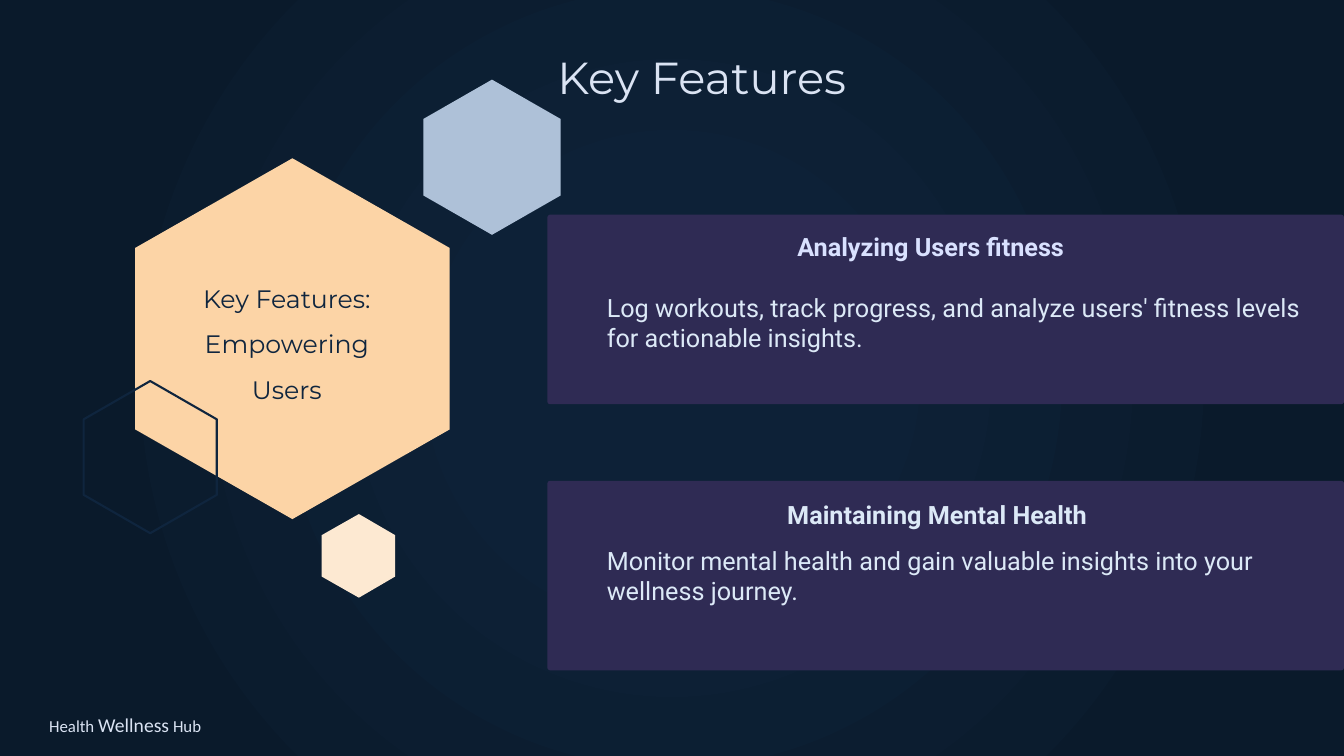
"""Build the Key Features slide with a hexagon cluster and two feature cards."""
from lxml.etree import SubElement
from pptx import Presentation
from pptx.dml.color import RGBColor
from pptx.enum.shapes import MSO_SHAPE
from pptx.enum.text import MSO_ANCHOR, PP_ALIGN
from pptx.oxml.ns import qn
from pptx.util import Pt

PX = 9144
NAVY = RGBColor(0x0F, 0x25, 0x3E)
STEEL = RGBColor(0xAE, 0xC1, 0xD8)
PEACH = RGBColor(0xFC, 0xD4, 0xA6)
CREAM = RGBColor(0xFD, 0xE9, 0xD2)
PURPLE = RGBColor(0x2F, 0x2B, 0x54)
PALE = RGBColor(0xDA, 0xE3, 0xF3)
LAVENDER = RGBColor(0xD9, 0xE1, 0xFF)
ICE = RGBColor(0xDC, 0xE9, 0xF7)
BACKDROP = [
    (0, RGBColor(0x0D, 0x21, 0x37)),
    (23, RGBColor(0x0D, 0x21, 0x37)),
    (69, RGBColor(0x0B, 0x1C, 0x2E)),
    (97, RGBColor(0x0A, 0x1A, 0x2B)),
]

deck = Presentation()
deck.slide_width, deck.slide_height = 1333 * PX, 750 * PX
page = deck.slides.add_slide(deck.slide_layouts[6])


def add_text(place, spans, font, paragraph=None, anchor=MSO_ANCHOR.TOP):
    box = page.shapes.add_textbox(*(length * PX for length in place))
    box.text_frame.word_wrap = True
    box.text_frame.vertical_anchor = anchor
    para = box.text_frame.paragraphs[0]
    for name, value in (paragraph or {}).items():
        setattr(para, name, value)
    for text, size, color in spans:
        span = para.add_run()
        span.text = text
        span.font.color.rgb = color
        for name, value in {"size": Pt(size), **font}.items():
            setattr(span.font, name, value)


page.background.fill.gradient()
gradient = next(page.element.iter(qn("a:gradFill")))
for child in list(gradient):
    gradient.remove(child)
stops = SubElement(gradient, qn("a:gsLst"))
for percent, color in BACKDROP:
    stop = SubElement(stops, qn("a:gs"), pos=str(percent * 1000))
    SubElement(stop, qn("a:srgbClr"), val=str(color))
circle = SubElement(gradient, qn("a:path"), {"path": "circle"})
SubElement(circle, qn("a:fillToRect"), dict.fromkeys("ltrb", "50000"))

hexagons = [
    (420, 79, 136, 154, STEEL),
    (134, 157, 312, 358, PEACH),
    (83, 378, 132, 151, None),
    (319, 510, 73, 83, CREAM),
]
for left, top, width, height, color in hexagons:
    middle, right = left + width / 2, left + width
    upper, lower = top + height / 4, top + height * 3 / 4
    outline = page.shapes.build_freeform(middle, top, scale=PX)
    outline.add_line_segments([
        (right, upper), (right, lower), (middle, top + height),
        (left, lower), (left, upper),
    ])
    hexagon = outline.convert_to_shape()
    hexagon.shadow.inherit = False
    if color:
        hexagon.fill.solid()
        hexagon.fill.fore_color.rgb = color
        hexagon.line.fill.background()
    else:
        hexagon.fill.background()
        hexagon.line.color.rgb = NAVY
        hexagon.line.width = Pt(1.5)

add_text((39, 699, 450, 40),
         [("Health ", 12, PALE), ("Wellness", 14, PALE), (" Hub", 12, PALE)],
         {"name": "Calibri"}, anchor=MSO_ANCHOR.MIDDLE)
add_text((156, 261, 257, 142), [("Key Features: Empowering Users", 18, NAVY)],
         {"name": "Montserrat"},
         {"alignment": PP_ALIGN.CENTER, "line_spacing": 1.5})
add_text((543, 21, 399, 80), [("Key Features", 32, PALE)],
         {"name": "Montserrat"}, {"line_spacing": Pt(55)})

cards = [
    (213, (781, 213), "Analyzing Users fitness", LAVENDER, 285,
     "Log workouts, track progress, and analyze users' fitness levels "
     "for actionable insights."),
    (477, (771, 479), "Maintaining Mental Health", ICE, 536,
     "Monitor mental health and gain valuable insights into your "
     "wellness journey."),
]
for top, heading_corner, heading, heading_color, body_top, body in cards:
    card = page.shapes.add_shape(MSO_SHAPE.ROUNDED_RECTANGLE,
                                 543 * PX, top * PX, 790 * PX, 188 * PX)
    card.adjustments[0] = 0.014
    card.shadow.inherit = False
    card.fill.solid()
    card.fill.fore_color.rgb = PURPLE
    card.line.fill.background()
    add_text((*heading_corner, 527, 48), [(heading, 18, heading_color)],
             {"name": "Roboto", "bold": True}, {"line_spacing": Pt(30)})
    add_text((592, body_top, 723, 71), [(body, 18, ICE)], {"name": "Roboto"})

deck.save("out.pptx")
